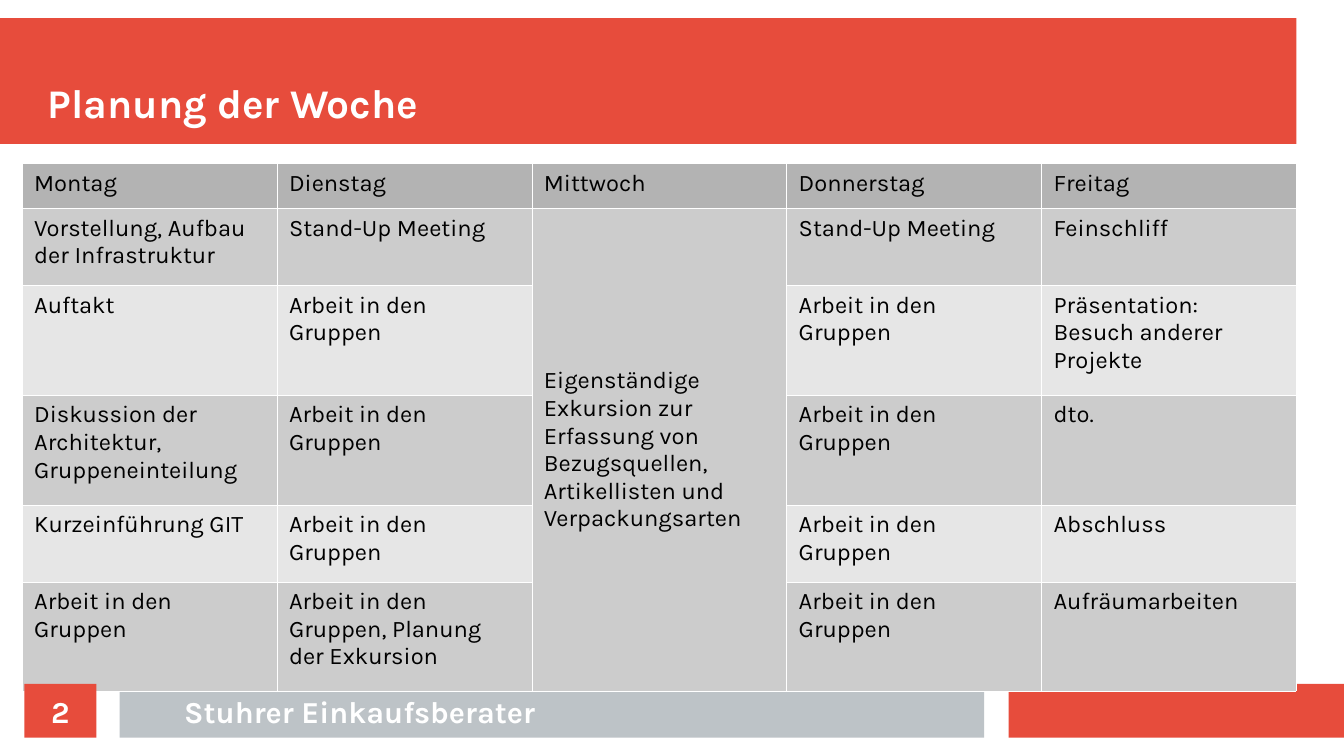
from lxml.etree import SubElement
from pptx import Presentation
from pptx.dml.color import RGBColor
from pptx.enum.shapes import MSO_SHAPE
from pptx.enum.text import MSO_ANCHOR, PP_ALIGN
from pptx.oxml import parse_xml
from pptx.oxml.ns import nsdecls
from pptx.util import Inches, Pt

RED = RGBColor(0xE7, 0x4C, 0x3C)
SILVER = RGBColor(0xBD, 0xC3, 0xC7)
HEADER_GRAY = RGBColor(0xB3, 0xB3, 0xB3)
ODD_GRAY = RGBColor(0xCC, 0xCC, 0xCC)
EVEN_GRAY = RGBColor(0xE6, 0xE6, 0xE6)
WHITE = RGBColor(0xFF, 0xFF, 0xFF)
BLACK = RGBColor(0, 0, 0)

GROUPS = "Arbeit in den Gruppen"
EXCURSION = ("Eigenständige Exkursion zur Erfassung von Bezugsquellen, "
             "Artikellisten und Verpackungsarten")
WEEK = [
    ["Montag", "Dienstag", "Mittwoch", "Donnerstag", "Freitag"],
    ["Vorstellung, Aufbau der Infrastruktur", "Stand-Up Meeting", EXCURSION,
     "Stand-Up Meeting", "Feinschliff"],
    ["Auftakt", GROUPS, "", GROUPS, "Präsentation: Besuch anderer Projekte"],
    ["Diskussion der Architektur, Gruppeneinteilung", GROUPS, "", GROUPS, "dto."],
    ["Kurzeinführung GIT", GROUPS, "", GROUPS, "Abschluss"],
    [GROUPS, GROUPS + ", Planung der Exkursion", "", GROUPS, "Aufräumarbeiten"],
]
ROW_HEIGHTS = [0.37, 0.63, 0.9, 0.9, 0.63, 0.9]
COLUMN_WIDTH = 2.09
WEDNESDAY = 2
FOOTER_TOP, FOOTER_HEIGHT = 5.61, 0.44


class SlideBuilder:
    """Holds the text style and the current page."""

    body = {"name": "Karla", "size": Pt(14), "bold": False}
    title = {"name": "Karla", "size": Pt(24), "bold": True}
    footer = {"name": "Karla", "size": Pt(18), "bold": True}

    def __init__(self, page):
        self.page = page

    def add_words(self, frame, text, style, color, align=PP_ALIGN.LEFT):
        para = frame.paragraphs[0]
        para.alignment = align
        span = para.add_run()
        span.text = text
        for name, value in style.items():
            setattr(span.font, name, value)
        span.font.color.rgb = color

    def label(self, box, text, style, anchor, align):
        frame = box.text_frame
        layout = {"word_wrap": True, "vertical_anchor": anchor, "margin_left": 0,
                  "margin_right": 0, "margin_top": 0, "margin_bottom": 0}
        for name, value in layout.items():
            setattr(frame, name, value)
        self.add_words(frame, text, style, WHITE, align)

    def bar(self, left, top, width, height, color):
        box = self.page.shapes.add_shape(
            MSO_SHAPE.RECTANGLE, *map(Inches, (left, top, width, height)))
        box.shadow.inherit = False
        box.fill.solid()
        box.fill.fore_color.rgb = color
        box.line.fill.background()
        return box

    def text(self, left, top, width, height, text, style,
             anchor=MSO_ANCHOR.MIDDLE, align=PP_ALIGN.CENTER):
        box = self.page.shapes.add_textbox(*map(Inches, (left, top, width, height)))
        self.label(box, text, style, anchor, align)

    def paint_cell(self, cell, color):
        cell.fill.solid()
        cell.fill.fore_color.rgb = color
        properties = cell._tc.get_or_add_tcPr()
        for position, side in enumerate(("lnL", "lnR", "lnT", "lnB")):
            border = parse_xml(f'<a:{side} {nsdecls("a")} w="{Pt(0.06)}"/>')
            fill = SubElement(border, border.tag.replace(side, "solidFill"))
            SubElement(fill, border.tag.replace(side, "srgbClr"), val=str(WHITE))
            properties.insert(position, border)

    def table(self, left, top, rows, heights, column_width):
        columns = len(rows[0])
        table = self.page.shapes.add_table(
            len(rows), columns, Inches(left), Inches(top),
            Inches(column_width * columns), Inches(sum(heights))).table
        for column in table.columns:
            column.width = Inches(column_width)
        for index, (texts, height) in enumerate(zip(rows, heights)):
            table.rows[index].height = Inches(height)
            stripe = ODD_GRAY if index % 2 else EVEN_GRAY
            color = stripe if index else HEADER_GRAY
            for cell, text in zip(table.rows[index].cells, texts):
                self.paint_cell(cell, color)
                if text:
                    self.add_words(cell.text_frame, text, self.body, BLACK)
        return table


def main():
    deck = Presentation()
    deck.slide_width, deck.slide_height = Inches(11.02), Inches(6.2)
    builder = SlideBuilder(deck.slides.add_slide(deck.slide_layouts[6]))

    # Title band and footer bars
    builder.bar(0, 0.15, 10.63, 1.03, RED)
    builder.bar(8.27, FOOTER_TOP, 2.76, FOOTER_HEIGHT, RED)
    builder.bar(0.98, FOOTER_TOP, 7.09, FOOTER_HEIGHT, SILVER)
    builder.text(0.39, 0.3, 10.24, 0.74, "Planung der Woche", builder.title,
                 MSO_ANCHOR.BOTTOM, PP_ALIGN.LEFT)

    # Week plan, with the excursion filling Wednesday
    plan = builder.table(0.18, 1.34, WEEK, ROW_HEIGHTS, COLUMN_WIDTH)
    excursion = plan.cell(1, WEDNESDAY)
    excursion.merge(plan.cell(len(WEEK) - 1, WEDNESDAY))
    excursion.vertical_anchor = MSO_ANCHOR.MIDDLE

    # Footer text and page number
    builder.text(1.18, FOOTER_TOP, 3.54, FOOTER_HEIGHT,
                 "Stuhrer Einkaufsberater", builder.footer)
    badge = builder.bar(0.2, FOOTER_TOP, 0.59, FOOTER_HEIGHT, RED)
    builder.label(badge, "2", builder.footer, MSO_ANCHOR.MIDDLE, PP_ALIGN.CENTER)

    deck.save("out.pptx")


if __name__ == "__main__":
    main()
